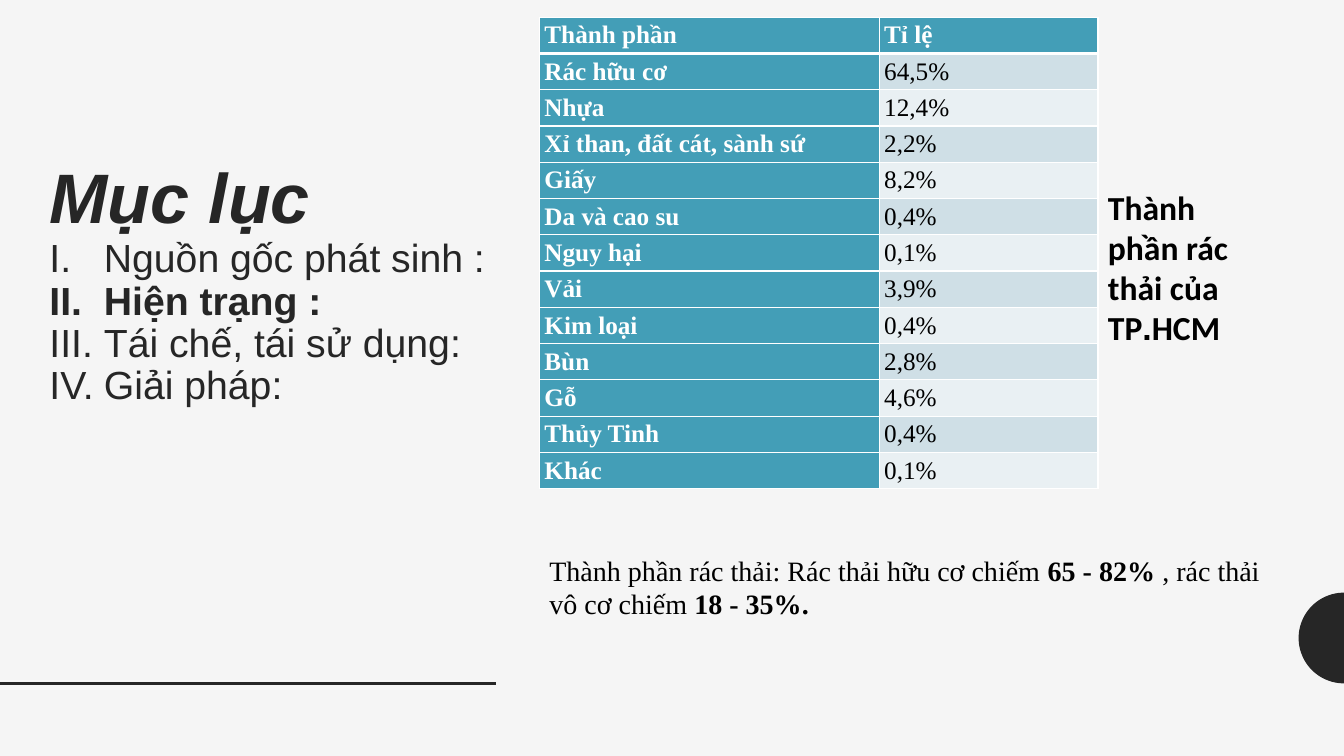
from math import cos, pi, sin

from lxml.etree import SubElement
from pptx import Presentation
from pptx.dml.color import RGBColor
from pptx.enum.shapes import MSO_CONNECTOR
from pptx.enum.text import MSO_ANCHOR, PP_ALIGN
from pptx.oxml.ns import qn
from pptx.util import Inches, Pt

DARK, WHITE, BLACK, TEAL = "262626", "FFFFFF", "000000", "439EB7"
BACKGROUND = "F5F5F5"
BANDS = ["CFDFE6", "E9F0F3"]
SERIF = "Times New Roman"

HEADING = "Mục lục"
CONTENTS = [
    ("I.", "Nguồn gốc phát sinh :"),
    ("II.", "Hiện trạng :"),
    ("III.", "Tái chế, tái sử dụng:"),
    ("IV.", "Giải pháp:"),
]
CURRENT_SECTION = "II."

WASTE_SHARES = [
    ("Thành phần", "Tỉ lệ"),
    ("Rác hữu cơ", "64,5%"),
    ("Nhựa", "12,4%"),
    ("Xỉ than, đất cát, sành sứ", "2,2%"),
    ("Giấy", "8,2%"),
    ("Da và cao su", "0,4%"),
    ("Nguy hại", "0,1%"),
    ("Vải", "3,9%"),
    ("Kim loại", "0,4%"),
    ("Bùn", "2,8%"),
    ("Gỗ", "4,6%"),
    ("Thủy Tinh", "0,4%"),
    ("Khác", "0,1%"),
]
COLUMN_WIDTHS = [3.37, 2.17]
ROW_HEIGHT = 0.36

CAPTION = [("Thành phần rác thải của TP", "Calibri"), (".", "Arial"), ("HCM", "Calibri")]
SUMMARY = [
    ("Thành phần rác thải: Rác thải hữu cơ chiếm ", False),
    ("65 - 82% ", True),
    (", rác thải vô cơ chiếm ", False),
    ("18 - 35%.", True),
]


def color(value):
    return RGBColor.from_string(value)


def add_text(paragraph, text, size, font, fill=BLACK, bold=False, italic=False):
    run = paragraph.add_run()
    run.text = text
    run.font.size = Pt(size)
    run.font.name = font
    run.font.bold = bold
    run.font.italic = italic
    run.font.color.rgb = color(fill)


def add_text_box(slide, left, top, width, height):
    """Add a wrapping text box and return its first paragraph."""
    frame = slide.shapes.add_textbox(
        Inches(left), Inches(top), Inches(width), Inches(height)).text_frame
    frame.word_wrap = True
    return frame.paragraphs[0]


def add_tab_stop(paragraph, position):
    tabs = SubElement(paragraph._p.get_or_add_pPr(), qn("a:tabLst"))
    SubElement(tabs, qn("a:tab"), pos=str(Inches(position)), algn="l")


def set_borders(cell, bottom_width):
    properties = cell._tc.get_or_add_tcPr()
    for side, width in (("L", 1), ("R", 1), ("T", 1), ("B", bottom_width)):
        line = SubElement(properties, qn(f"a:ln{side}"), w=str(Pt(width)))
        fill = SubElement(line, qn("a:solidFill"))
        SubElement(fill, qn("a:srgbClr"), val=WHITE)


def add_decoration(slide):
    center_x, center_y, radius, steps = 13.33, 6.33, 0.45, 48
    arc = []
    for step in range(steps + 1):
        angle = pi / 2 + pi * step / steps
        arc.append((Inches(center_x + radius * cos(angle)),
                    Inches(center_y - radius * sin(angle))))
    builder = slide.shapes.build_freeform(*arc[0])
    builder.add_line_segments(arc[1:], close=True)
    half_circle = builder.convert_to_shape()
    half_circle.shadow.inherit = False
    half_circle.fill.solid()
    half_circle.fill.fore_color.rgb = color(DARK)
    half_circle.line.fill.background()

    rule = slide.shapes.add_connector(
        MSO_CONNECTOR.STRAIGHT, 0, Inches(6.78), Inches(4.92), Inches(6.78))
    rule.line.color.rgb = color(DARK)
    rule.line.width = Pt(2)
    SubElement(rule._element.spPr, qn("a:effectLst"))


def add_contents(slide):
    title = slide.shapes.title
    title.left, title.top = Inches(0.39), Inches(1.57)
    title.width, title.height = Inches(4.96), Inches(4.45)
    frame = title.text_frame
    frame.word_wrap = True
    frame.vertical_anchor = MSO_ANCHOR.TOP
    add_text(frame.paragraphs[0], HEADING, 50, "Arial", DARK, bold=True, italic=True)
    for number, section in CONTENTS:
        paragraph = frame.add_paragraph()
        add_tab_stop(paragraph, 0.54)
        add_text(paragraph, f"{number}\t{section}", 28, "Arial", DARK,
                 bold=number == CURRENT_SECTION)
    for paragraph in frame.paragraphs:
        paragraph.alignment = PP_ALIGN.LEFT
        paragraph.line_spacing = 0.9
        paragraph.space_before = Pt(0)


def add_waste_table(slide):
    table = slide.shapes.add_table(
        len(WASTE_SHARES), len(COLUMN_WIDTHS), Inches(5.35), Inches(0.17),
        Inches(sum(COLUMN_WIDTHS)), Inches(ROW_HEIGHT * len(WASTE_SHARES))).table
    for column, width in zip(table.columns, COLUMN_WIDTHS):
        column.width = Inches(width)
    for row_index, values in enumerate(WASTE_SHARES):
        table.rows[row_index].height = Inches(ROW_HEIGHT)
        for column_index, value in enumerate(values):
            cell = table.cell(row_index, column_index)
            is_header = row_index == 0 or column_index == 0
            cell.margin_left, cell.margin_right = Inches(0.05), Inches(0.1)
            cell.margin_top = cell.margin_bottom = Inches(0.03)
            cell.vertical_anchor = MSO_ANCHOR.MIDDLE
            set_borders(cell, 3 if row_index == 0 else 1)
            cell.fill.solid()
            cell.fill.fore_color.rgb = color(
                TEAL if is_header else BANDS[(row_index - 1) % 2])
            add_text(cell.text_frame.paragraphs[0], value, 18, SERIF,
                     WHITE if is_header else BLACK, bold=is_header)


def main():
    presentation = Presentation()
    presentation.slide_width, presentation.slide_height = Inches(13.33), Inches(7.5)
    slide = presentation.slides.add_slide(presentation.slide_layouts[5])
    slide.background.fill.solid()
    slide.background.fill.fore_color.rgb = color(BACKGROUND)

    add_decoration(slide)
    add_contents(slide)
    add_waste_table(slide)
    caption = add_text_box(slide, 10.89, 1.8, 1.75, 1.72)
    for text, font in CAPTION:
        add_text(caption, text, 24, font, bold=True)
    summary = add_text_box(slide, 5.35, 5.44, 7.29, 0.77)
    for text, bold in SUMMARY:
        add_text(summary, text, 20, SERIF, bold=bold)
    presentation.save("out.pptx")


if __name__ == "__main__":
    main()
